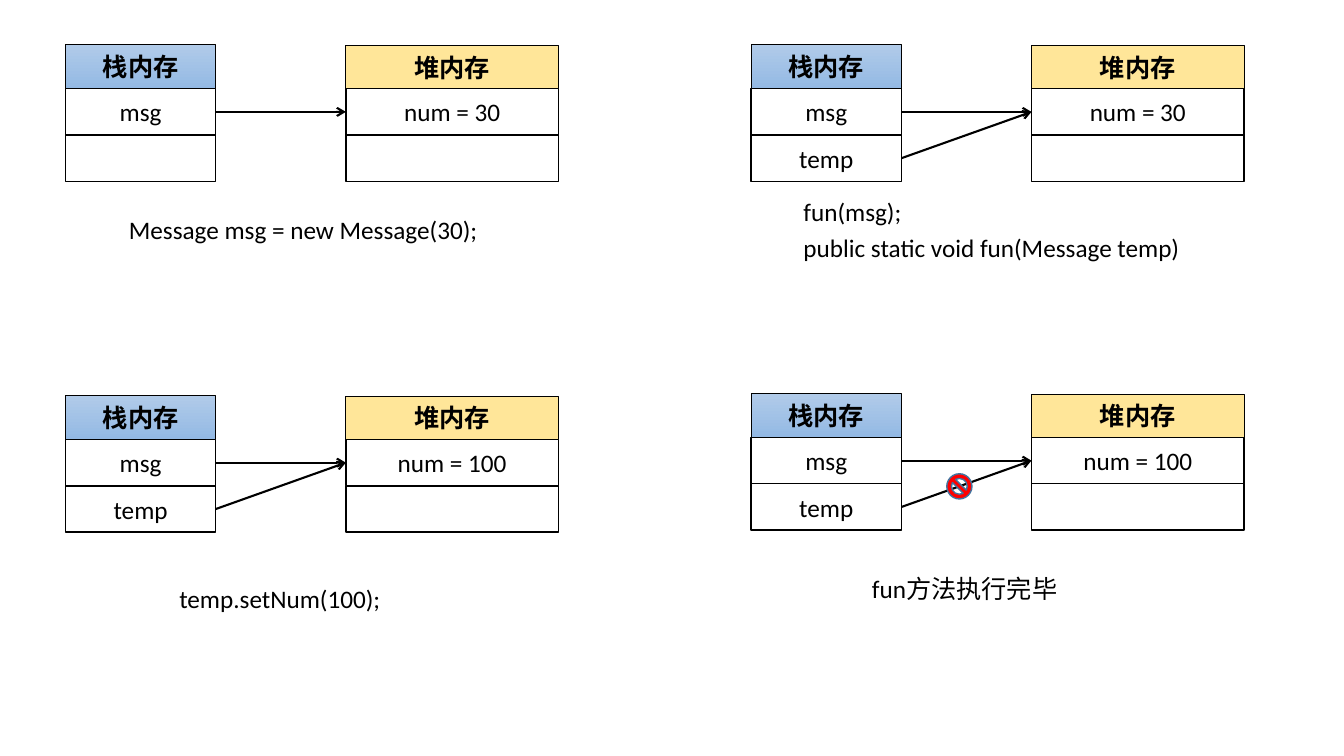
from lxml.etree import SubElement
from pptx import Presentation
from pptx.dml.color import RGBColor
from pptx.enum.shapes import MSO_CONNECTOR, MSO_SHAPE
from pptx.enum.text import MSO_ANCHOR, PP_ALIGN
from pptx.oxml.ns import qn
from pptx.util import Inches, Pt

STACK_WIDTH, HEAP_WIDTH = 1.49, 2.11
HEAP_OFFSET = 2.78
ROW_HEIGHT = 0.46
STACK_HEADER, HEAP_HEADER = 0.44, 0.43
RIGHT_SIDE, LEFT_SIDE = 3, 1


def rgb(value):
    return RGBColor.from_string(value)


def write(frame, text, bold=False):
    """Put one paragraph of body text into a text frame."""
    paragraph = frame.paragraphs[0]
    paragraph.text = text
    for name, value in {"name": "Calibri", "size": Pt(18), "bold": bold}.items():
        setattr(paragraph.font, name, value)
    paragraph.font.color.rgb = rgb("000000")
    return paragraph


presentation = Presentation()
presentation.slide_width = Inches(13.33)
presentation.slide_height = Inches(7.5)
slide = presentation.slides.add_slide(presentation.slide_layouts[6])
shapes = slide.shapes

# left edge, top of the first row, second stack variable, object in the heap
memory_states = [
    (0.65, 0.88, "", "num = 30"),
    (7.45, 0.88, "temp", "num = 30"),
    (0.65, 4.36, "temp", "num = 100"),
    (7.45, 4.34, "temp", "num = 100"),
]

for left, top, second_variable, heap_object in memory_states:
    heap_left = left + HEAP_OFFSET
    # left, top, width, height, text, fill (None for the gradient), line width
    cells = [
        (left, top - STACK_HEADER, STACK_WIDTH, STACK_HEADER, "栈内存", None, 0.5),
        (heap_left, top - HEAP_HEADER, HEAP_WIDTH, HEAP_HEADER, "堆内存", "FFE699", 0.5),
        (left, top, STACK_WIDTH, ROW_HEIGHT, "msg", "FFFFFF", 1),
        (left, top + ROW_HEIGHT, STACK_WIDTH, ROW_HEIGHT, second_variable, "FFFFFF", 1),
        (heap_left, top, HEAP_WIDTH, ROW_HEIGHT, heap_object, "FFFFFF", 1),
        (heap_left, top + ROW_HEIGHT, HEAP_WIDTH, ROW_HEIGHT, "", "FFFFFF", 1),
    ]
    drawn = []
    for x, y, width, height, text, fill, line_width in cells:
        cell = shapes.add_shape(
            MSO_SHAPE.RECTANGLE, Inches(x), Inches(y), Inches(width), Inches(height)
        )
        cell.shadow.inherit = False
        if fill:
            cell.fill.solid()
            cell.fill.fore_color.rgb = rgb(fill)
        else:
            cell.fill.gradient()
            cell.fill.gradient_angle = 270
            for stop, color in zip(cell.fill.gradient_stops, ("B1CBE9", "93B9E4")):
                stop.color.rgb = rgb(color)
        cell.line.color.rgb = rgb("000000")
        cell.line.width = Pt(line_width)
        if text:
            cell.text_frame.vertical_anchor = MSO_ANCHOR.MIDDLE
            write(cell.text_frame, text, bold=line_width < 1).alignment = PP_ALIGN.CENTER
        drawn.append(cell)

    msg_cell, second_cell, object_cell = drawn[2:5]
    for variable_cell in [msg_cell, second_cell] if second_variable else [msg_cell]:
        reference = shapes.add_connector(MSO_CONNECTOR.STRAIGHT, 0, 0, 0, 0)
        reference.begin_connect(variable_cell, RIGHT_SIDE)
        reference.end_connect(object_cell, LEFT_SIDE)
        reference.line.color.rgb = rgb("000000")
        reference.line.width = Pt(1.5)
        SubElement(reference.line._get_or_add_ln(), qn("a:tailEnd"), type="arrow")
        SubElement(reference._element.spPr, qn("a:effectLst"))

# left, top, width, wrap, text
captions = [
    (1.18, 2.08, 3.7, False, "Message msg = new Message(30);"),
    (7.87, 1.9, 1.19, False, "fun(msg);"),
    (7.87, 2.26, 3.98, False, "public static void fun(Message temp)"),
    (1.68, 5.74, 2.22, False, "temp.setNum(100);"),
    (8.55, 5.64, 2.06, True, "fun方法执行完毕"),
]
for left, top, width, wrap, text in captions:
    caption = shapes.add_textbox(Inches(left), Inches(top), Inches(width), Inches(0.4))
    caption.text_frame.word_wrap = wrap
    write(caption.text_frame, text)

broken_reference = shapes.add_shape(
    MSO_SHAPE.NO_SYMBOL, Inches(9.39), Inches(4.7), Inches(0.25), Inches(0.25)
)
broken_reference.shadow.inherit = False
broken_reference.fill.solid()
broken_reference.fill.fore_color.rgb = rgb("FF0000")
broken_reference.line.color.rgb = rgb("43739E")
broken_reference.line.width = Pt(1)

presentation.save("out.pptx")
